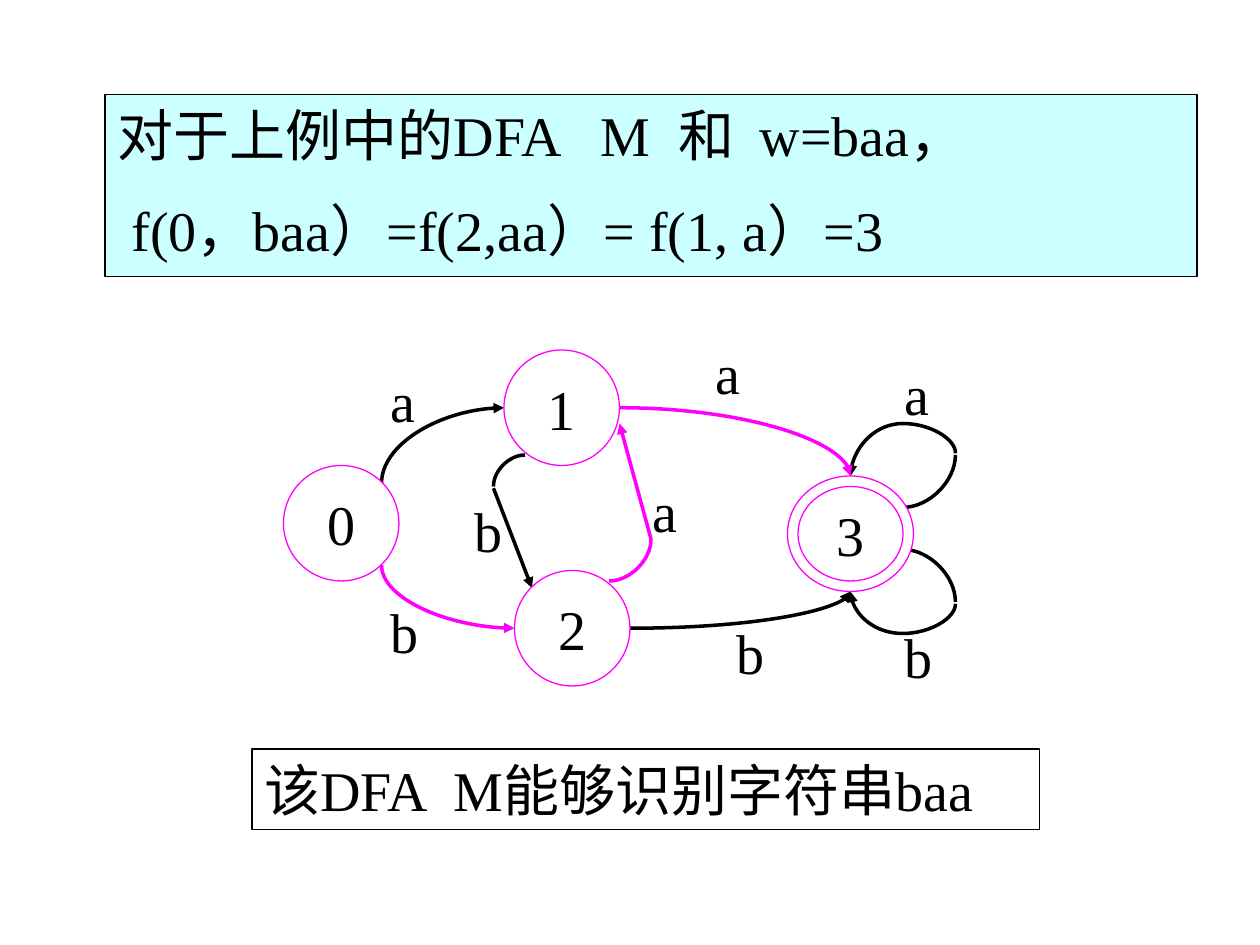
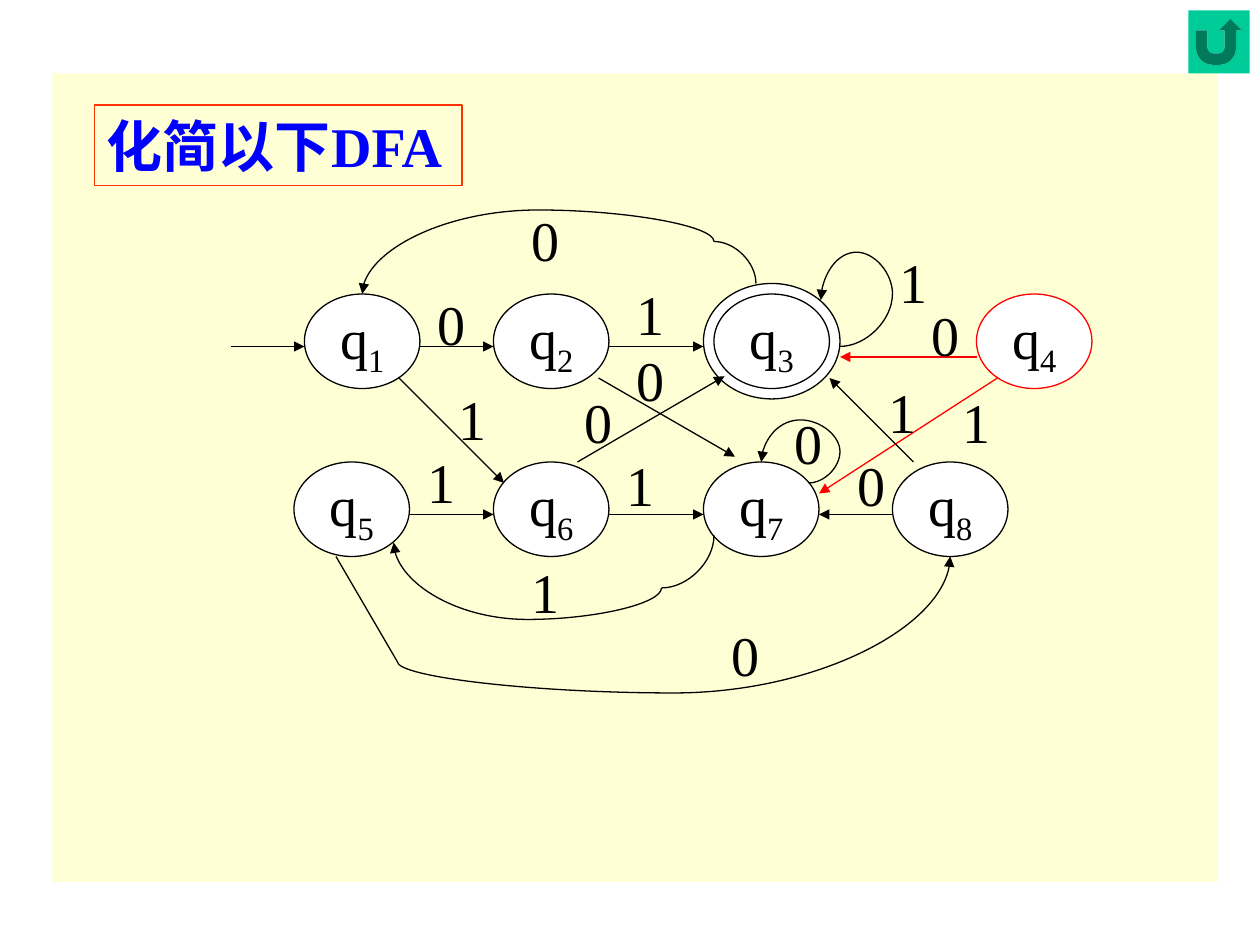
"""Builds two slides on deterministic automata: running a word and a machine to reduce."""
from dataclasses import dataclass

from lxml.etree import SubElement
from pptx import Presentation
from pptx.dml.color import RGBColor
from pptx.enum.shapes import MSO_CONNECTOR as Line, MSO_SHAPE as Form
from pptx.enum.text import MSO_ANCHOR as Anchor, PP_ALIGN as Align
from pptx.oxml.ns import qn
from pptx.util import Pt


@dataclass(frozen=True)
class Theme:
    font: str = "Times New Roman"
    size: int = 32
    gap: int = 16
    thin: float = 0.75
    thick: float = 2
    black: str = "000000"
    white: str = "FFFFFF"
    aqua: str = "CCFFFF"
    pink: str = "FF00FF"
    cream: str = "FFFFD5"
    blue: str = "0000FF"
    red: str = "FF0000"
    frame: str = "FF3300"
    green: str = "00CC99"


look = Theme()
rgb = RGBColor.from_string


def put(page, form, box, text="", sub="", fill=None, edge=None, hue=look.black, align=Align.LEFT, bold=False):
    area = [Pt(v) for v in box]
    if form is None:
        item = page.shapes.add_textbox(*area)
    else:
        item = page.shapes.add_shape(form, *area)
        item.shadow.inherit = False
        if fill:
            item.fill.solid()
            item.fill.fore_color.rgb = rgb(fill)
        else:
            item.fill.background()
        if edge:
            item.line.color.rgb = rgb(edge)
            item.line.width = Pt(look.thin)
        else:
            item.line.fill.background()
    if not text:
        return
    body = item.text_frame
    oval = form == Form.OVAL
    body.word_wrap = not oval
    body.vertical_anchor = Anchor.MIDDLE if oval else Anchor.TOP
    for n, words in enumerate(text.split("\n")):
        para = body.add_paragraph() if n else body.paragraphs[0]
        para.add_run().text = words
        if n:
            para.space_before = Pt(look.gap)
        if sub:
            low = para.add_run()
            low.text = sub
            low.font._element.set("baseline", "-25000")
        para.alignment = Align.CENTER if oval else align
        para.font.name = look.font
        para.font.size = Pt(look.size)
        para.font.bold = bold
        para.font.color.rgb = rgb(hue)


def link(page, ends, bend="line", tip=True, hue=look.black, width=look.thin):
    x, y, u, v = ends
    peak = bend if isinstance(bend, int) else None
    turn = bend == "drop" or peak is not None
    if turn:
        mx, my, dx, dy = (x + u) / 2, (y + v) / 2, (u - x) / 2, (v - y) / 2
        ends = mx - dy, my + dx, mx + dy, my - dx
    kind = Line.STRAIGHT if bend == "line" else Line.CURVE
    wire = page.shapes.add_connector(kind, *[Pt(p) for p in ends])
    wire.line.color.rgb = rgb(hue)
    wire.line.width = Pt(width)
    props = wire._element.spPr
    if turn:
        props.find(qn("a:xfrm")).set("rot", "5400000")
    geom = props.find(qn("a:prstGeom"))
    if peak is not None:
        rate = round((peak - y) / (v - y) * 100000)
        SubElement(geom.find(qn("a:avLst")), qn("a:gd"), name="adj1", fmla=f"val {rate}")
    elif bend != "line":
        geom.set("prst", "curvedConnector2")
    if tip:
        SubElement(props.find(qn("a:ln")), qn("a:tailEnd"), type="triangle")
    SubElement(props, qn("a:effectLst"))


deck = Presentation()
deck.slide_width, deck.slide_height = Pt(720), Pt(540)
blank = deck.slide_layouts[6]

run = deck.slides.add_slide(blank)
put(run, Form.RECTANGLE, (60, 54, 624, 104),
    "对于上例中的DFA   M  和  w=baa，\n f(0，baa）=f(2,aa）= f(1, a）=3",
    fill=look.aqua, edge=look.black)

for ends, bend, tip, hue in [
    ((218, 276, 288, 233), "drop", True, look.black),
    ((360, 359, 486, 338), "side", True, look.black),
    ((300, 260, 282, 278), "side", False, look.black),
    ((282, 279, 304, 336), "line", True, look.black),
    ((516, 290, 546, 260), "side", False, look.black),
    ((546, 259, 486, 272), 242, True, look.black),
    ((516, 314, 546, 344), "side", False, look.black),
    ((546, 345, 486, 338), 362, True, look.black),
    ((218, 323, 294, 359), "drop", True, look.pink),
    ((348, 332, 372, 308), "side", False, look.pink),
    ((372, 308, 354, 242), "line", True, look.pink),
    ((354, 233, 486, 272), "side", True, look.pink),
]:
    link(run, ends, bend, tip, hue, look.thick)

for name, box in [
    ("0", (162, 266, 66, 66)),
    ("1", (288, 200, 66, 66)),
    ("2", (294, 326, 66, 66)),
    ("", (450, 272, 72, 66)),
    ("3", (456, 278, 60, 54)),
]:
    put(run, Form.OVAL, box, name, fill=look.white, edge=look.pink)

for sign, spots in {
    "a": [(216, 206), (402, 190), (510, 202), (366, 268.5)],
    "b": [(216, 338), (264, 280), (414, 350), (510, 352)],
}.items():
    for spot in spots:
        put(run, None, (*spot, 30, 45), sign)

put(run, Form.RECTANGLE, (144, 428, 450, 46), "该DFA  M能够识别字符串baa",
    fill=look.white, edge=look.black)

task = deck.slides.add_slide(blank)
put(task, Form.RECTANGLE, (30, 42, 666, 462), fill=look.cream)
put(task, Form.RECTANGLE, (54, 60, 210, 46), "化简以下DFA", edge=look.frame, hue=look.blue, bold=True)

put(task, Form.OVAL, (402, 162, 78, 66), fill=look.white, edge=look.black)
for top, row in [
    (168, [("1", 174), ("2", 282), ("3", 408), ("4", 558)]),
    (264, [("5", 168), ("6", 282), ("7", 402), ("8", 510)]),
]:
    for num, left in row:
        edge = look.red if num == "4" else look.black
        put(task, Form.OVAL, (left, top, 66, 54), "q", num, fill=look.white, edge=edge)

for ends in [(558, 204, 480, 204), (570, 216, 468, 282)]:
    link(task, ends, hue=look.red)

for ends in [
    (132, 198, 174, 198), (240, 198, 282, 198), (348, 198, 402, 198),
    (234, 294, 282, 294), (348, 294, 402, 294), (510, 294, 468, 294),
    (228, 216, 288, 276), (342, 216, 420, 261),
    (330, 264, 414, 215), (522, 264, 474, 216),
]:
    link(task, ends)

for start, bend, arc, peak in [
    ((462, 276, 480, 258), "side", (480, 258, 435, 264), 240),
    ((408, 306, 378, 336), "drop", (378, 336, 225, 310), 354),
    ((480, 198, 510, 168), "side", (510, 168, 469, 171.5), 144),
    ((432, 162, 408, 138), "drop", (408, 138, 207, 168), 120),
    ((192, 318, 227, 378), "line", (227, 378, 543, 318), 396),
]:
    link(task, start, bend, tip=False)
    link(task, arc, peak)

for sign, spots in {
    "0": [(228, 162), (282, 114), (342, 194), (312, 218), (432, 230), (468, 254), (396, 351), (510, 168)],
    "1": [(240, 216), (342, 156), (492, 138), (486, 212), (336, 254), (222, 252), (282, 315), (528, 218)],
}.items():
    for spot in spots:
        put(task, None, (*spot, 60, 45), sign, align=Align.CENTER)

put(task, Form.ACTION_BUTTON_RETURN, (679, 6, 35, 36), fill=look.green)

deck.save("out.pptx")
